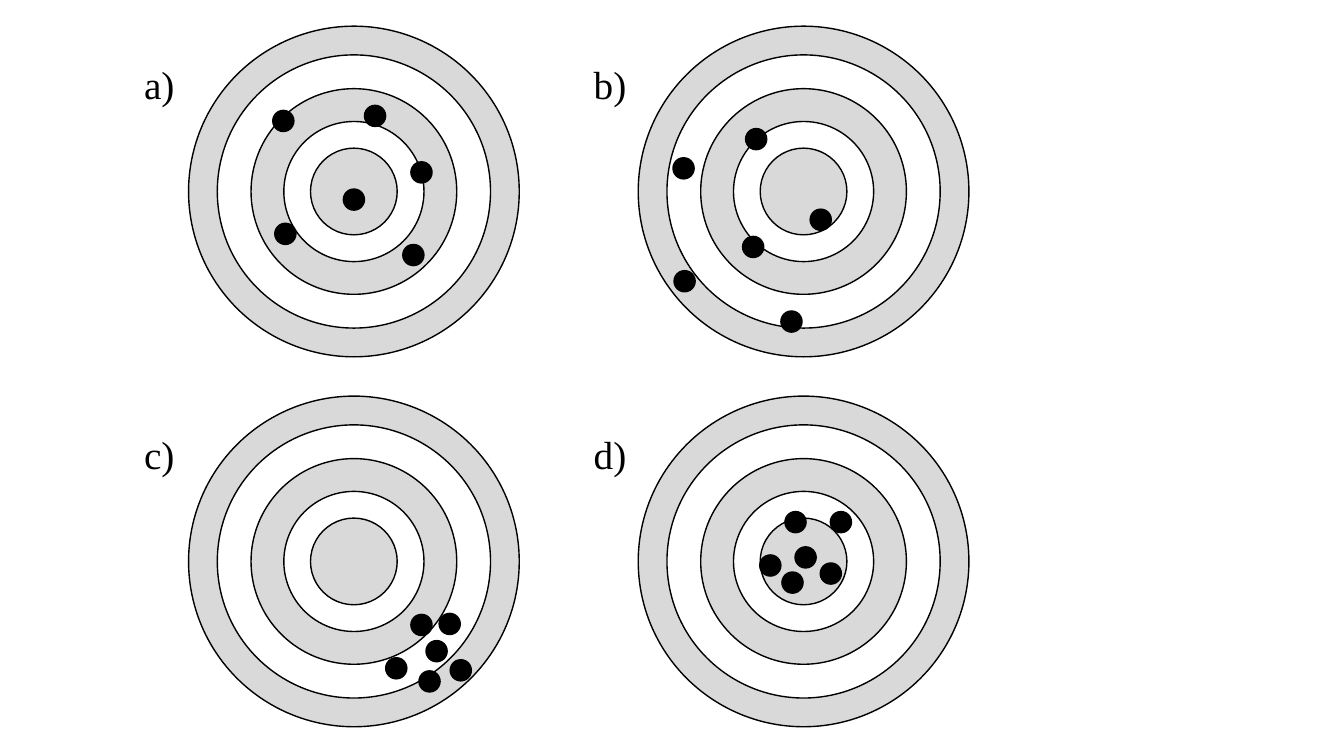
from pptx import Presentation
from pptx import util as u
from pptx.dml.color import RGBColor
from pptx.enum import shapes, text

BLACK = RGBColor(0, 0, 0)
GREY = RGBColor(0xD9, 0xD9, 0xD9)
WHITE = RGBColor(255, 255, 255)

LEFT, TOP = 1.33, 0.26
COLUMN, ROW = 4.46, 3.67
PANEL_WIDTH = 3.82
RINGS = [3.28, 2.71, 2.04, 1.39, 0.86]
HIT = 0.21

TARGETS = [
    ("a)", [(-0.7, -0.7), (-0.68, 0.42), (0.21, -0.75),
            (0, 0.08), (0.67, -0.19), (0.59, 0.63)]),
    ("b)", [(-1.19, -0.23), (-1.18, 0.89), (-0.47, -0.52),
            (-0.5, 0.55), (0.17, 0.28), (-0.12, 1.29)]),
    ("c)", [(0.67, 0.63), (0.42, 1.06), (0.95, 0.62),
            (0.82, 0.89), (1.06, 1.08), (0.75, 1.19)]),
    ("d)", [(-0.08, -0.39), (-0.33, 0.04), (0.37, -0.39),
            (0.02, -0.04), (0.27, 0.12), (-0.11, 0.21)]),
]


def add_disc(parent, x, y, diameter, color):
    disc = parent.add_shape(
        shapes.MSO_SHAPE.OVAL, u.Inches(x - diameter / 2),
        u.Inches(y - diameter / 2), u.Inches(diameter), u.Inches(diameter))
    disc.shadow.inherit = False
    disc.fill.solid()
    disc.fill.fore_color.rgb = color
    disc.line.color.rgb = BLACK
    disc.line.width = u.Pt(1)


def add_label(slide, left, top, letter):
    label = slide.shapes.add_textbox(
        u.Inches(left), u.Inches(top), u.Inches(0.52), u.Inches(0.57))
    frame = label.text_frame
    frame.word_wrap = False
    frame.auto_size = text.MSO_AUTO_SIZE.SHAPE_TO_FIT_TEXT
    paragraph = frame.paragraphs[0]
    paragraph.text = letter
    paragraph.font.name = "Times New Roman"
    paragraph.font.size = u.Pt(28)
    paragraph.font.color.rgb = BLACK


def add_target(slide, left, top, letter, hits):
    x = left + PANEL_WIDTH - RINGS[0] / 2
    y = top + RINGS[0] / 2
    board = slide.shapes.add_group_shape()
    for index, diameter in enumerate(RINGS):
        add_disc(board.shapes, x, y, diameter, WHITE if index % 2 else GREY)
    for dx, dy in hits:
        add_disc(slide.shapes, x + dx, y + dy, HIT, BLACK)
    add_label(slide, left, top + 0.29, letter)


def main():
    deck = Presentation()
    deck.slide_width, deck.slide_height = u.Inches(13.33), u.Inches(7.5)
    slide = deck.slides.add_slide(deck.slide_layouts[6])
    for index, (letter, hits) in enumerate(TARGETS):
        row, column = divmod(index, 2)
        add_target(slide, LEFT + column * COLUMN, TOP + row * ROW, letter, hits)
    deck.save("out.pptx")


if __name__ == "__main__":
    main()
